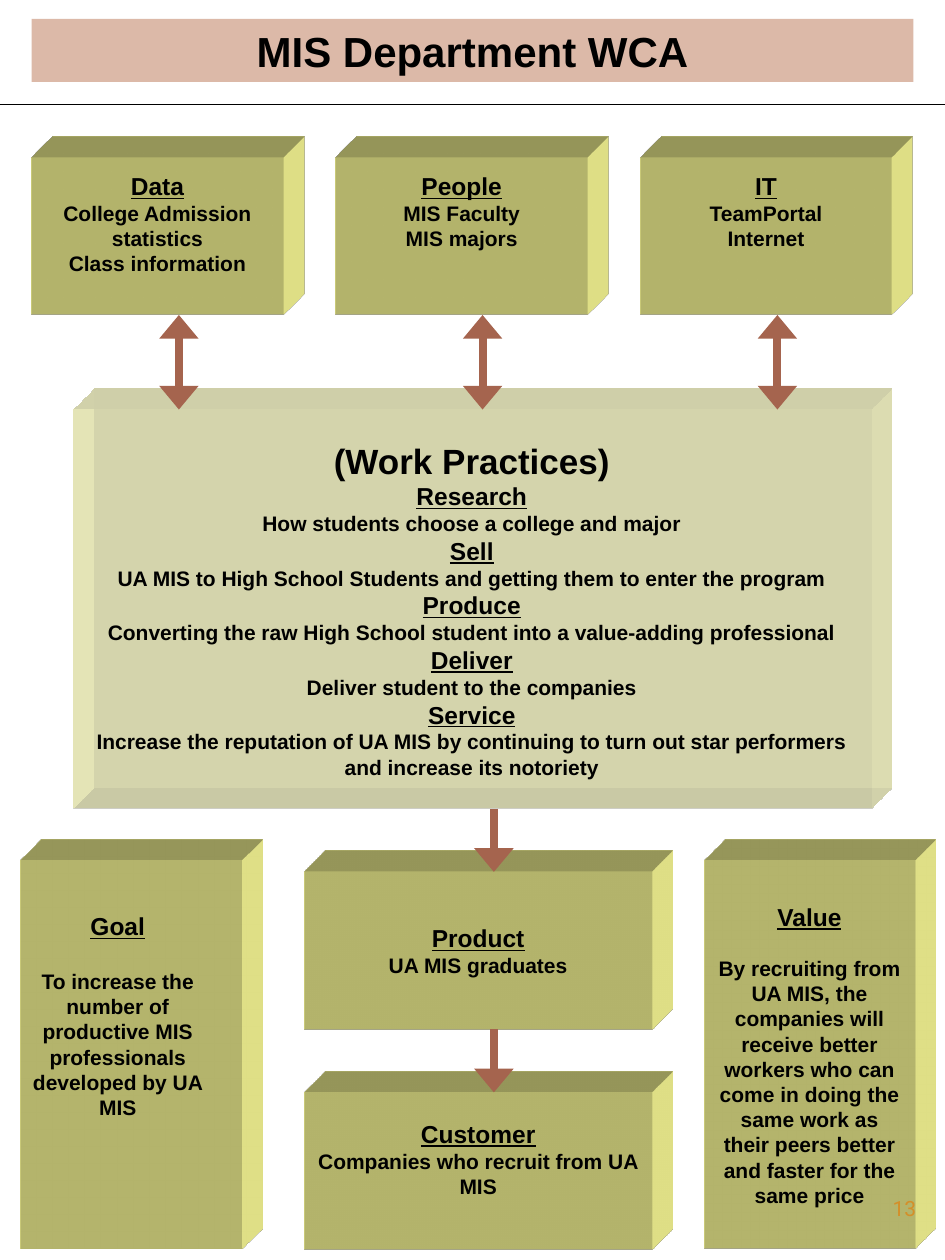
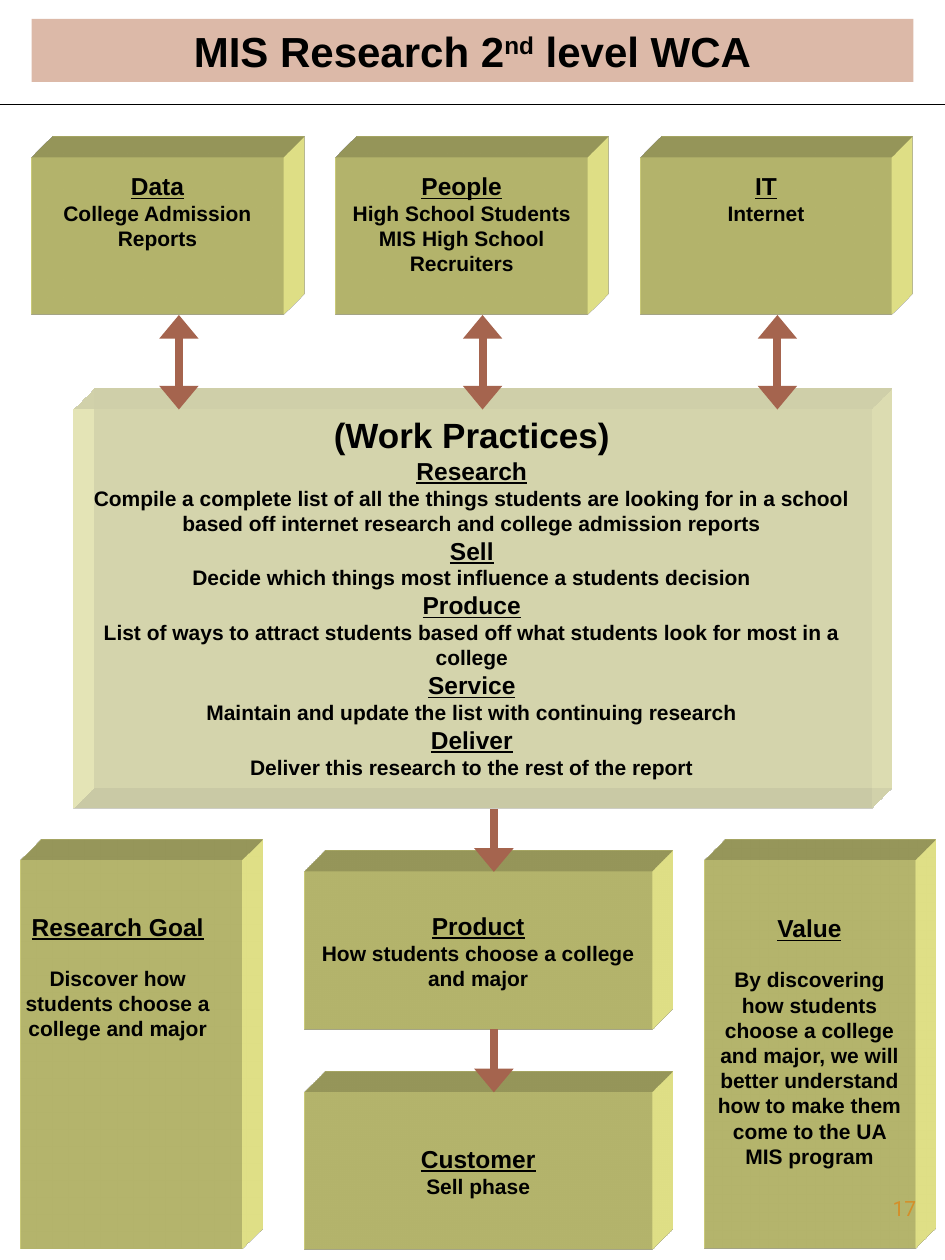
from lxml import etree
from pptx import Presentation
from pptx.dml.color import RGBColor
from pptx.enum.shapes import MSO_CONNECTOR, MSO_SHAPE
from pptx.enum.text import MSO_ANCHOR, PP_ALIGN
from pptx.oxml import parse_xml
from pptx.oxml.ns import nsdecls, qn
from pptx.util import Inches, Pt

# Content: title runs (text, raised), page, then per box: (style, text) lines
# and the extra room in inches kept free under the text.
SLIDES = [
    {
        "title": [("MIS Department WCA", False)],
        "page": "13",
        "data": ([("head", "Data"), ("body", "College Admission statistics"),
                  ("body", "Class information")], 0.2),
        "people": ([("head", "People"), ("body", "MIS Faculty"),
                    ("body", "MIS majors")], 0.4),
        "tech": ([("head", "IT"), ("body", "TeamPortal"),
                  ("body", "Internet")], 0.4),
        "work": ([
            ("main", "(Work Practices)"),
            ("head", "Research"),
            ("body", "How students choose a college and major"),
            ("head", "Sell"),
            ("body", "UA MIS to High School Students and getting them to "
                     "enter the program"),
            ("head", "Produce"),
            ("body", "Converting the raw High School student into a "
                     "value-adding professional"),
            ("head", "Deliver"),
            ("body", "Deliver student to the companies"),
            ("head", "Service"),
            ("body", "Increase the reputation of UA MIS by continuing to turn "
                     "out star performers and increase its notoriety"),
        ], 0),
        "goal": ([("head", "Goal"),
                  ("wide", "To increase the number of productive MIS "
                           "professionals developed by UA MIS")], 0.62),
        "value": ([("head", "Value"),
                   ("apart", "By recruiting from UA MIS, the companies will "
                             "receive better workers who can come in doing "
                             "the same work as their peers better and faster "
                             "for the same price")], 0),
        "product": ([("head", "Product"), ("body", "UA MIS graduates")], 0),
        "client": ([("head", "Customer"),
                    ("body", "Companies who recruit from UA MIS")], 0.2),
    },
    {
        "title": [("MIS Research 2", False), ("nd", True),
                  (" level WCA", False)],
        "page": "17",
        "data": ([("head", "Data"),
                  ("body", "College Admission Reports")], 0.4),
        "people": ([("head", "People"), ("body", "High School Students"),
                    ("body", "MIS High School Recruiters")], 0.2),
        "tech": ([("head", "IT"), ("body", "Internet")], 0.6),
        "work": ([
            ("main", "(Work Practices)"),
            ("head", "Research"),
            ("body", "Compile a complete list of all the things students are "
                     "looking for in a school based off internet research "
                     "and college admission reports"),
            ("head", "Sell"),
            ("body", "Decide which things most influence a students decision"),
            ("head", "Produce"),
            ("body", "List of ways to attract students based off what "
                     "students look for most in a college"),
            ("head", "Service"),
            ("body", "Maintain and update the list with continuing research"),
            ("head", "Deliver"),
            ("body", "Deliver this research to the rest of the report"),
        ], 0.2),
        "goal": ([("head", "Research Goal"),
                  ("apart", "Discover how students choose a college and "
                            "major")], 1.24),
        "value": ([("head", "Value"),
                   ("apart", "By discovering how students choose a college "
                             "and major, we will better understand how to "
                             "make them come to the UA MIS program")], 0.22),
        "product": ([("head", "Product"),
                     ("body", "How students choose a college and major")], 0),
        "client": ([("head", "Customer"), ("body", "Sell phase")], 0),
    },
]

# Shared look
INK, BLOCK, BAND, ARROW, PAGE = "000000", "FFFF99", "993300", "A5644E", "D48F29"
CLEAR = 34
STYLES = {  # font values, points of space before
    "main": ({"size": Pt(20)}, 0),
    "head": ({"size": Pt(14), "underline": True}, 0),
    "body": ({"size": Pt(12)}, 0),
    "apart": ({"size": Pt(12)}, 14),
    "wide": ({"size": Pt(12)}, 16),
}

# Layout: left, top, width, height
BOXES = {name: (0.25 + 2.415 * i, 1.25, 2, 1.25)
         for i, name in enumerate(("data", "people", "tech"))}
BOXES["work"] = (0.58, 3.25, 6.33, 3.17)
BOXES["goal"] = (0.16, 6.83, 1.76, 3.08)
BOXES["value"] = (5.59, 6.83, 1.67, 3.08)
for i, name in enumerate(("product", "client")):
    BOXES[name] = (2.42, 6.92 + 1.75 * i, 2.75, 1.25)
# Arrows: x, top, bottom, two heads
ARROWS = [(x, 2.5, 3.25, True) for x in (1.42, 3.83, 6.17)]
ARROWS += [(3.92, 6.42, 6.92, False), (3.92, 8.17, 8.67, False)]

DEPTH = (
    f'<a:scene3d {nsdecls("a")}><a:camera prst="legacyObliqueTopRight"/>'
    '<a:lightRig rig="legacyFlat3" dir="b"/></a:scene3d>',
    f'<a:sp3d {nsdecls("a")} extrusionH="430200" prstMaterial="legacyMatte">'
    '<a:bevelT w="13500" h="13500" prst="angle"/>'
    '<a:bevelB w="13500" h="13500" prst="angle"/>'
    f'<a:extrusionClr><a:srgbClr val="{BLOCK}"/></a:extrusionClr></a:sp3d>',
)


def paint(target, tone, clear=None):
    target.solid()
    target.fore_color.rgb = RGBColor.from_string(tone)
    if clear:
        node = target._xPr.find(".//" + qn("a:srgbClr"))
        etree.SubElement(node, qn("a:alpha"), val=str(clear * 1000))


def style(font, tone=INK, **values):
    values = {"name": "Arial", "bold": True, **values}
    for key, value in values.items():
        setattr(font, key, value)
    font.color.rgb = RGBColor.from_string(tone)


def place(shape, area):
    for key, value in zip(("left", "top", "width", "height"), area):
        setattr(shape, key, Inches(value))


def add_title(slide, runs):
    title = slide.shapes.title
    place(title, (0.25, 0.15, 7, 0.5))
    paint(title.fill, BAND, CLEAR)
    frame = title.text_frame
    frame.vertical_anchor = MSO_ANCHOR.MIDDLE
    para = frame.paragraphs[0]
    para.alignment = PP_ALIGN.CENTER
    for text, raised in runs:
        run = para.add_run()
        run.text = text
        style(run.font, size=Pt(24))
        if raised:
            run.font._element.set("baseline", "30000")


def add_block(slide, name, lines, room):
    area = [Inches(v) for v in BOXES[name]]
    shape = slide.shapes.add_shape(MSO_SHAPE.RECTANGLE, *area)
    shape.shadow.inherit = False
    paint(shape.fill, BLOCK, CLEAR if name == "work" else None)
    shape.line.fill.background()
    for part in DEPTH:
        shape._element.spPr.append(parse_xml(part))
    frame = shape.text_frame
    frame.word_wrap = True
    frame.vertical_anchor = MSO_ANCHOR.MIDDLE
    frame.margin_bottom = Inches(0.05 + room)
    if name == "goal":
        frame.margin_left, frame.margin_right = 0, Inches(0.21)
    for i, (kind, text) in enumerate(lines):
        para = frame.add_paragraph() if i else frame.paragraphs[0]
        para.alignment = PP_ALIGN.CENTER
        values, gap = STYLES[kind]
        if gap:
            para.space_before = Pt(gap)
        run = para.add_run()
        run.text = text
        style(run.font, **values)


def add_line(slide, start, end, tone, width, heads=()):
    ends = [Inches(v) for v in (*start, *end)]
    line = slide.shapes.add_connector(MSO_CONNECTOR.STRAIGHT, *ends)
    paint(line.line.fill, tone)
    line.line.width = Pt(width)
    for head in heads:
        etree.SubElement(line.line._get_or_add_ln(), qn(head),
                         type="triangle", w="lg", len="med")
    etree.SubElement(line._element.spPr, qn("a:effectLst"))


def add_page(slide, number):
    area = [Inches(v) for v in (6.75, 9.44, 0.62, 0.36)]
    frame = slide.shapes.add_textbox(*area).text_frame
    frame.word_wrap = True
    para = frame.paragraphs[0]
    para.alignment = PP_ALIGN.RIGHT
    run = para.add_run()
    run.text = number
    style(run.font, PAGE, name="Roboto", bold=False, size=Pt(12))


def main():
    deck = Presentation()
    deck.slide_width, deck.slide_height = Inches(7.5), Inches(10)
    for item in SLIDES:
        slide = deck.slides.add_slide(deck.slide_layouts[5])
        add_title(slide, item["title"])
        add_line(slide, (0, 0.83), (7.5, 0.83), INK, 0.75)
        for name in BOXES:
            add_block(slide, name, *item[name])
        for x, top, foot, both in ARROWS:
            heads = ("a:headEnd", "a:tailEnd") if both else ("a:tailEnd",)
            add_line(slide, (x, top), (x, foot), ARROW, 4.5, heads)
        add_page(slide, item["page"])
    deck.save("out.pptx")


if __name__ == "__main__":
    main()
